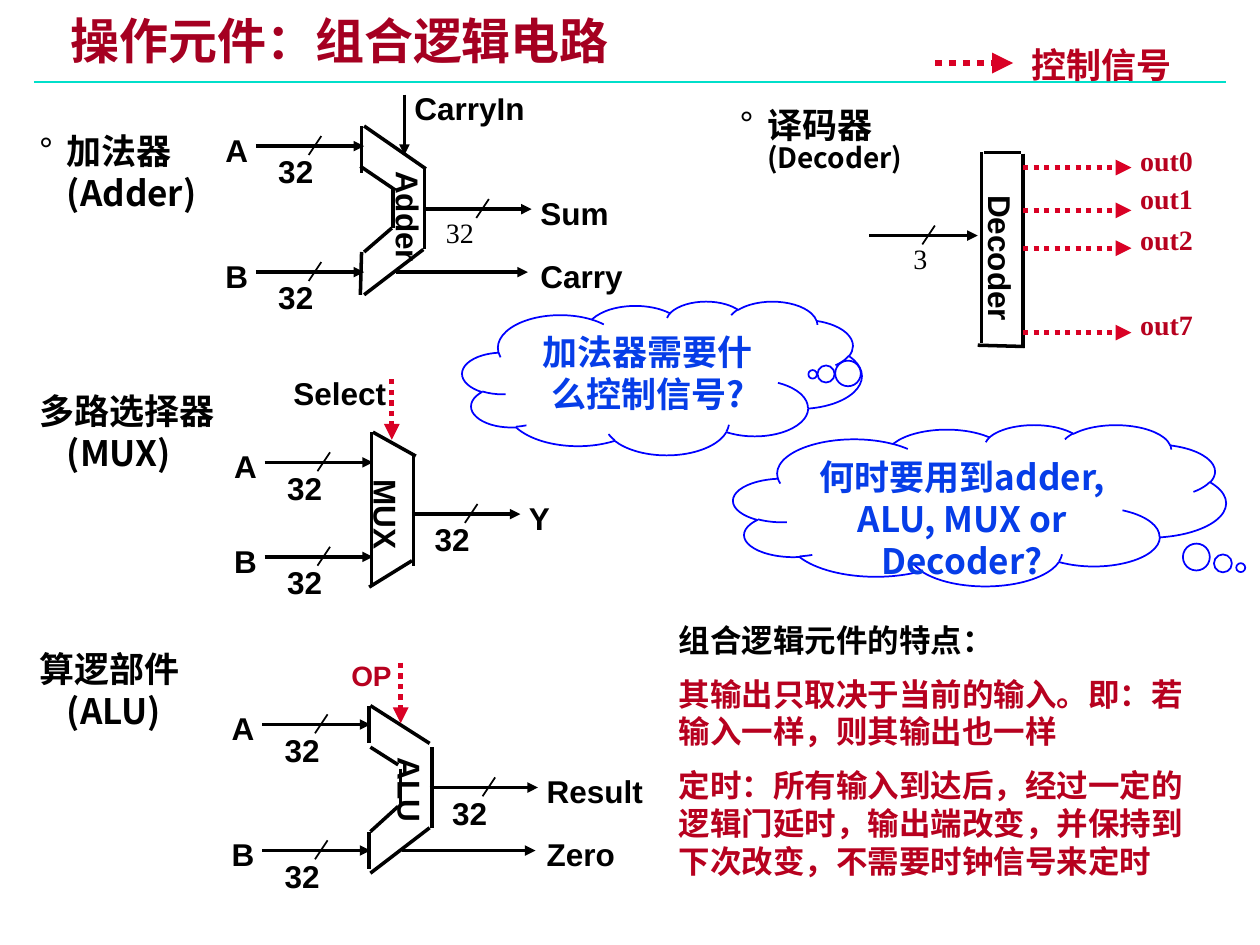
import pptx
import pptx.util
import pptx.dml.color
import pptx.enum.dml
import pptx.enum.shapes
import pptx.enum.text
import pptx.oxml.ns
from lxml import etree

Inches, Pt = pptx.util.Inches, pptx.util.Pt
qn = pptx.oxml.ns.qn

COLORS = {"title": "A50021", "rule": "00DFCA", "ink": "000000", "signal": "D90125",
          "control": "B7011F", "cloud": "0000FF", "question": "063DE8"}
CJK, ARIAL, TIMES = "Noto Sans CJK SC", "Arial", "Times New Roman"

PIN = {"size": 18, "bold": True, "name": ARIAL, "color": "ink"}
THIN = {"size": 16, "bold": False, "name": TIMES, "color": "ink"}
OUT = {"size": 16, "bold": True, "name": TIMES, "color": "control"}
OP = {"size": 16, "bold": True, "name": ARIAL, "color": "control"}
LEGEND = {"size": 20, "bold": True, "name": TIMES, "color": "control"}
TITLE = {"size": 28, "bold": True, "name": ARIAL, "color": "title"}
HEADING = {"size": 20, "bold": True, "name": CJK, "color": "ink"}
SUBHEADING = {**HEADING, "size": 16}
QUESTION = {**HEADING, "color": "question"}
NOTE_HEAD = {**HEADING, "size": 18}
NOTE = {**NOTE_HEAD, "color": "control"}

SNUG = (0.07, 0.03, 0.07, 0.03)
LABEL_MARGINS = (0.1, 0.05, 0, 0.05)  # no right margin, so a name stays on one line
LABEL_WIDTHS = {"A": 0.38, "B": 0.38, "Y": 0.36, "32": 0.48, "3": 0.31, "Sum": 0.74,
                "Carry": 0.85, "Result": 0.96, "Zero": 0.74}

# bus: (start x, y, width label, label offset, label format, input name, output name)
# flag: (start x, end x, y, name, name x); segments: (x1, y1, x2, y2)
# control: (x, top, line style); labels: (text, left, top, width, height, format, rotation)
UNITS = [
    {"segments": [(2.95, 3.43, 2.95, 4.65), (2.96, 3.43, 3.3, 3.62),
                  (2.93, 4.66, 3.27, 4.45), (3.28, 3.6, 3.28, 4.49)],
     "buses": [(2.1, 3.67, "32", 0.08, PIN, "A", None),
               (2.1, 4.42, "32", 0.08, PIN, "B", None),
               (3.27, 4.08, "32", 0.08, PIN, None, "Y")],
     "control": (3.11, 3.01, "signal"),
     "labels": [("Select", 2.23, 2.92, 0.94, 0.4, PIN, 0),
                ("MUX", 2.69, 3.88, 0.75, 0.4, PIN, 90)]},
    {"segments": [(2.93, 5.6, 2.93, 5.9), (2.94, 5.6, 3.41, 5.9), (2.94, 5.93, 3.16, 6.07),
                  (3.18, 6.1, 3.18, 6.4), (3.43, 5.93, 3.43, 6.57), (2.94, 6.6, 3.16, 6.4),
                  (2.93, 6.6, 2.93, 6.9), (2.94, 6.93, 3.41, 6.57)],
     "buses": [(2.08, 5.75, "32", 0.08, PIN, "A", None),
               (2.08, 6.75, "32", 0.08, PIN, "B", None),
               (3.41, 6.25, "32", 0.08, PIN, None, "Result")],
     "flag": (3.19, 4.25, 6.75, "Zero", 4.24),
     "control": (3.18, 5.26, "signal"),
     "labels": [("OP", 2.69, 5.18, 0.77, 0.36, OP, 0),
                ("ALU", 2.9, 6.07, 0.71, 0.4, PIN, 90)]},
    {"segments": [(2.87, 1, 2.87, 1.37), (2.89, 1, 3.38, 1.34), (2.86, 1.32, 3.14, 1.51),
                  (3.12, 1.5, 3.12, 1.81), (3.37, 1.34, 3.37, 1.98), (2.89, 2, 3.11, 1.81),
                  (2.87, 2, 2.86, 2.34), (2.89, 2.34, 3.36, 1.98)],
     "buses": [(2.03, 1.16, "32", 0.08, PIN, "A", None),
               (2.03, 2.16, "32", 0.08, PIN, "B", None),
               (3.36, 1.66, "32", 0.08, THIN, None, "Sum")],
     "flag": (3.14, 4.19, 2.16, "Carry", 4.19),
     "control": (3.21, 0.75, "wire"),
     "labels": [("Adder", 2.78, 1.52, 0.92, 0.4, PIN, 90),
                ("CarryIn", 3.19, 0.66, 1.07, 0.4, PIN, 0)]},
    {"segments": [(7.79, 1.21, 7.79, 2.72), (7.81, 1.21, 8.1, 1.21),
                  (7.76, 2.74, 8.13, 2.75), (8.12, 1.22, 8.12, 2.76)],
     "buses": [(6.9, 1.87, "3", 0.25, THIN, None, None)],
     "signals": [1.33, 1.67, 1.97, 2.64],
     "labels": [("Decoder", 7.21, 1.98, 1.46, 0.4, PIN, 90)]
     + [(name, 8.95, top, 0.62, 0.37, OUT, 0) for name, top in
        [("out0", 1.09), ("out1", 1.39), ("out2", 1.72), ("out7", 2.39)]]},
]

# (lines with formats, left, top, width, height, line spacing, bulleted)
HEADINGS = [
    ([("加法器", HEADING), ("(Adder)", HEADING)], 0.24, 1, 1.87, 0.75, 1.0, True),
    ([("多路选择器", HEADING), ("(MUX)", HEADING)], 0.24, 3.06, 1.87, 0.75, 1.0, False),
    ([("算逻部件", HEADING), ("(ALU)", HEADING)], 0.24, 5.11, 1.87, 0.75, 1.0, False),
    ([("译码器", HEADING), ("(Decoder)", SUBHEADING)], 5.8, 0.84, 2.22, 0.6, 0.85, True),
]
CLOUDS = [("何时要用到adder, ALU, MUX or Decoder?", 5.82, 3.37, 3.91, 1.28, (0.53, 0.387)),
          ("加法器需要什么控制信号?", 3.67, 2.39, 3.17, 1.22, (0.377, -0.024))]
NOTES = [("组合逻辑元件的特点：", NOTE_HEAD),
         ("其输出只取决于当前的输入。即：若输入一样，则其输出也一样", NOTE),
         ("定时：所有输入到达后，经过一定的逻辑门延时，输出端改变，并保持到下次改变，不需要时钟信号来定时", NOTE)]

LINES = {"wire": ("ink", 2, False), "slash": ("ink", 1, False), "signal": ("signal", 3, True),
         "legend": ("signal", 4, True), "rule": ("rule", 1.5, False)}


def rgb(name):
    return pptx.dml.color.RGBColor.from_string(COLORS[name])


def add_line(shapes, x1, y1, x2, y2, style="wire", arrow=False):
    color, width, dotted = LINES[style]
    line = shapes.add_connector(pptx.enum.shapes.MSO_CONNECTOR.STRAIGHT,
                                *map(Inches, (x1, y1, x2, y2)))
    line.line.color.rgb = rgb(color)
    line.line.width = Pt(width)
    if dotted:
        line.line.dash_style = pptx.enum.dml.MSO_LINE.ROUND_DOT
    if arrow:
        etree.SubElement(line.line._get_or_add_ln(), qn("a:tailEnd"), type="triangle")
    etree.SubElement(line._element.spPr, qn("a:effectLst"))


def add_run(paragraph, text, style):
    run = paragraph.add_run()
    run.text = text
    run.font.color.rgb = rgb(style["color"])
    run.font.size = Pt(style["size"])
    for key in ("bold", "name"):
        setattr(run.font, key, style[key])
    etree.SubElement(run._r.get_or_add_rPr(), qn("a:ea"), typeface=CJK)


def set_frame(frame, wrap, margins=None):
    frame.word_wrap = wrap
    frame.vertical_anchor = pptx.enum.text.MSO_ANCHOR.TOP
    if margins:
        sides = ("margin_left", "margin_top", "margin_right", "margin_bottom")
        for side, margin in zip(sides, margins):
            setattr(frame, side, Inches(margin))
    return frame


def add_box(shapes, box, wrap=True, margins=None, rotation=0):
    holder = shapes.add_textbox(*map(Inches, box))
    holder.rotation = rotation
    return set_frame(holder.text_frame, wrap, margins)


def add_label(shapes, text, left, top, width=None, height=0.4, style=PIN, rotation=0):
    frame = add_box(shapes, (left, top, width or LABEL_WIDTHS[text], height),
                    wrap=False, margins=LABEL_MARGINS, rotation=rotation)
    add_run(frame.paragraphs[0], text, style)


def add_bus(shapes, x, y, bits, offset, style, source, target):
    """Draw a slashed arrow with its bit width and the name at either end."""
    add_line(shapes, x, y, x + 0.86, y, arrow=True)
    add_line(shapes, x + 0.52, y - 0.08, x + 0.42, y + 0.07, "slash")
    add_label(shapes, bits, x + offset, y, style=style)
    for name, shift in ((source, -0.34), (target, 0.83)):
        if name:
            add_label(shapes, name, x + shift, y - 0.17)


def add_unit(slide, unit):
    shapes = slide.shapes.add_group_shape().shapes
    for segment in unit["segments"]:
        add_line(shapes, *segment)
    for bus in unit["buses"]:
        add_bus(shapes, *bus)
    if "flag" in unit:
        start, end, y, name, name_x = unit["flag"]
        add_line(shapes, start, y, end, y, arrow=True)
        add_label(shapes, name, name_x, y - 0.17)
    if "control" in unit:
        x, top, style = unit["control"]
        add_line(shapes, x, top, x, top + 0.48, style, arrow=True)
    for y in unit.get("signals", []):
        add_line(shapes, 8.12, y, 8.98, y, "signal", arrow=True)
    for label in unit["labels"]:
        add_label(shapes, *label)


def add_heading(slide, lines, left, top, width, height, spacing, bulleted):
    frame = add_box(slide.shapes, (left, top, width, height), margins=SNUG)
    paragraph = frame.paragraphs[0]
    paragraph.line_spacing = spacing
    properties = paragraph._p.get_or_add_pPr()
    properties.set("marL", str(Inches(0.22)))
    properties.set("indent", str(Inches(-0.22)))
    if bulleted:
        etree.SubElement(properties, qn("a:buFont"), typeface=ARIAL)
        etree.SubElement(properties, qn("a:buChar"), char="°")
    for index, (text, style) in enumerate(lines):
        if index:
            paragraph.add_line_break()
        add_run(paragraph, text, style)


def add_cloud(slide, text, left, top, width, height, tail):
    cloud = slide.shapes.add_shape(pptx.enum.shapes.MSO_SHAPE.CLOUD_CALLOUT,
                                   *map(Inches, (left, top, width, height)))
    cloud.adjustments[0], cloud.adjustments[1] = tail
    cloud.shadow.inherit = False
    cloud.fill.background()
    cloud.line.color.rgb = rgb("cloud")
    cloud.line.width = Pt(1)
    paragraph = set_frame(cloud.text_frame, True).paragraphs[0]
    paragraph.alignment = pptx.enum.text.PP_ALIGN.CENTER
    add_run(paragraph, text, QUESTION)


def add_title(slide):
    title = slide.shapes.title
    for key, value in {"left": 0.49, "top": 0.12, "width": 6.41, "height": 0.46}.items():
        setattr(title, key, Inches(value))
    frame = set_frame(title.text_frame, True, SNUG)
    frame.paragraphs[0].alignment = pptx.enum.text.PP_ALIGN.LEFT
    frame.paragraphs[0].line_spacing = 0.87
    add_run(frame.paragraphs[0], "操作元件：组合逻辑电路", TITLE)


def main():
    deck = pptx.Presentation()
    deck.slide_width, deck.slide_height = Inches(10), Inches(7.5)
    slide = deck.slides.add_slide(deck.slide_layouts[5])
    add_title(slide)
    add_line(slide.shapes, 0.27, 0.65, 9.73, 0.65, "rule")
    for heading in HEADINGS:
        add_heading(slide, *heading)
    for unit in UNITS:
        add_unit(slide, unit)
    legend = slide.shapes.add_group_shape().shapes
    add_line(legend, 7.42, 0.5, 8.04, 0.5, "legend", arrow=True)
    add_run(add_box(legend, (8.09, 0.3, 1.52, 0.43)).paragraphs[0], "控制信号", LEGEND)
    notes = add_box(slide.shapes, (5.29, 4.88, 4.43, 2.2))
    for index, (text, style) in enumerate(NOTES):
        paragraph = notes.add_paragraph() if index else notes.paragraphs[0]
        paragraph.space_before = Pt(9 if index else 0)
        add_run(paragraph, text, style)
    for cloud in CLOUDS:
        add_cloud(slide, *cloud)
    deck.save("out.pptx")


if __name__ == "__main__":
    main()
